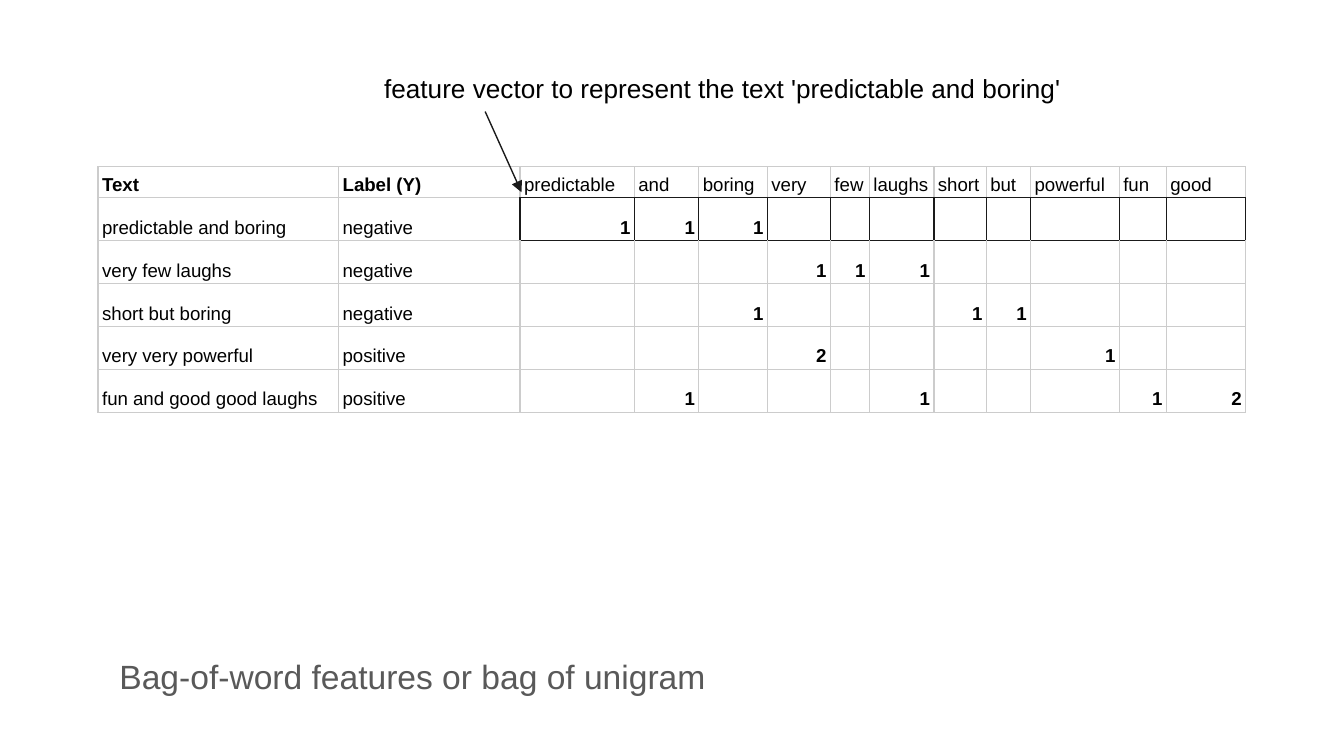
from lxml import etree
from pptx import Presentation
from pptx.dml.color import RGBColor
from pptx.enum.shapes import MSO_CONNECTOR
from pptx.enum.text import MSO_ANCHOR, PP_ALIGN
from pptx.oxml.ns import qn
from pptx.util import Inches, Pt

STRAIGHT = MSO_CONNECTOR.STRAIGHT
TOP, MIDDLE, BOTTOM = MSO_ANCHOR.TOP, MSO_ANCHOR.MIDDLE, MSO_ANCHOR.BOTTOM
LEFT, RIGHT = PP_ALIGN.LEFT, PP_ALIGN.RIGHT

COLORS = {"text": "000000", "caption": "595959", "grid": "CCCCCC", "vector": "1A1A1A"}
FONT = "Arial"
LINE_WIDTH = Pt(0.75)
PAGE_WIDTH = 10
PAGE_HEIGHT = PAGE_WIDTH * 9 / 16

VOCABULARY = ["predictable", "and", "boring", "very", "few", "laughs",
              "short", "but", "powerful", "fun", "good"]
SAMPLES = [
    ("predictable and boring", "negative"),
    ("very few laughs", "negative"),
    ("short but boring", "negative"),
    ("very very powerful", "positive"),
    ("fun and good good laughs", "positive"),
]
COLUMN_WIDTHS = [1.79, 1.35, 0.85, 0.48, 0.51, 0.47, 0.29,
                 0.48, 0.39, 0.33, 0.66, 0.35, 0.59]
HEADER_HEIGHT, ROW_HEIGHT = 0.23, 0.32
NEIGHBOURS = {"a:lnL": (0, -1), "a:lnR": (0, 1), "a:lnT": (-1, 0), "a:lnB": (1, 0)}


def add_run(para, text, size, color, bold=False):
    """Append one formatted run to a paragraph."""
    span = para.add_run()
    span.text = text
    span.font.name = FONT
    span.font.size = Pt(size)
    span.font.bold = bold
    span.font.color.rgb = RGBColor.from_string(COLORS[color])


def add_text(page, left, top, width, height, text, size, color, anchor):
    """Add a text box with a single line of text."""
    box = page.shapes.add_textbox(Inches(left), Inches(top), Inches(width), Inches(height))
    frame = box.text_frame
    frame.word_wrap = True
    frame.vertical_anchor = anchor
    frame.margin_left = frame.margin_right = Inches(0.1)
    frame.margin_top = frame.margin_bottom = Inches(0.1)
    add_run(frame.paragraphs[0], text, size, color)


def add_arrow(page, start, end):
    """Add a thin straight arrow between two points."""
    arrow = page.shapes.add_connector(STRAIGHT, *map(Inches, start + end))
    arrow.line.width = LINE_WIDTH
    arrow.line.color.rgb = RGBColor.from_string(COLORS["vector"])
    properties = arrow._element.spPr
    etree.SubElement(properties.find(qn("a:ln")), qn("a:tailEnd"), type="triangle")
    etree.SubElement(properties, qn("a:effectLst"))


def in_vector(row, column):
    """Tell whether a cell belongs to the outlined feature vector."""
    return row == 1 and 2 <= column < len(COLUMN_WIDTHS)


def set_borders(cell, row, column):
    """Draw the four cell edges, dark wherever they touch the feature vector."""
    properties = cell._tc.get_or_add_tcPr()
    for position, (tag, (down, across)) in enumerate(NEIGHBOURS.items()):
        dark = in_vector(row, column) or in_vector(row + down, column + across)
        edge = etree.Element(qn(tag), w=str(LINE_WIDTH))
        fill = etree.SubElement(edge, qn("a:solidFill"))
        etree.SubElement(fill, qn("a:srgbClr"), val=COLORS["vector" if dark else "grid"])
        properties.insert(position, edge)


def fill_cell(cell, text, bold, align):
    """Write a table cell and set its layout."""
    cell.fill.background()
    cell.vertical_anchor = BOTTOM
    cell.margin_left = cell.margin_right = Inches(0.03)
    cell.margin_top = cell.margin_bottom = Inches(0.02)
    para = cell.text_frame.paragraphs[0]
    para.alignment = align
    para.line_spacing = 1.15
    if text:
        add_run(para, text, 10, "text", bold)
    else:
        etree.SubElement(para._p, qn("a:endParaRPr"), sz="1000")


def table_rows():
    """Return the header and the word counts of every sample."""
    rows = [["Text", "Label (Y)"] + VOCABULARY]
    for text, label in SAMPLES:
        counts = [text.split().count(word) for word in VOCABULARY]
        rows.append([text, label] + [str(count) if count else "" for count in counts])
    return rows


def add_feature_table(page, left, top):
    """Add the bag-of-words table."""
    rows = table_rows()
    heights = [HEADER_HEIGHT] + [ROW_HEIGHT] * len(SAMPLES)
    table = page.shapes.add_table(
        len(rows), len(COLUMN_WIDTHS), Inches(left), Inches(top),
        Inches(sum(COLUMN_WIDTHS)), Inches(sum(heights))).table
    table.first_row = table.horz_banding = False
    for column, width in zip(table.columns, COLUMN_WIDTHS):
        column.width = Inches(width)
    for row, height in zip(table.rows, heights):
        row.height = Inches(height)
    for r, values in enumerate(rows):
        for c, text in enumerate(values):
            is_count = r > 0 and c > 1
            is_title = r == 0 and c < 2
            cell = table.cell(r, c)
            fill_cell(cell, text, is_count or is_title, RIGHT if is_count else LEFT)
            set_borders(cell, r, c)


def main():
    """Build the slide and save it."""
    deck = Presentation()
    deck.slide_width, deck.slide_height = Inches(PAGE_WIDTH), Inches(PAGE_HEIGHT)
    page = deck.slides.add_slide(deck.slide_layouts[6])
    add_text(page, 0.79, 4.78, 8.42, 0.5, "Bag-of-word features or bag of unigram",
             18, "caption", MIDDLE)
    add_feature_table(page, 0.73, 1.24)
    add_arrow(page, (3.61, 0.83), (3.88, 1.43))
    add_text(page, 2.76, 0.44, 6.13, 0.44,
             "feature vector to represent the text 'predictable and boring'",
             14, "text", TOP)
    deck.save("out.pptx")


if __name__ == "__main__":
    main()
